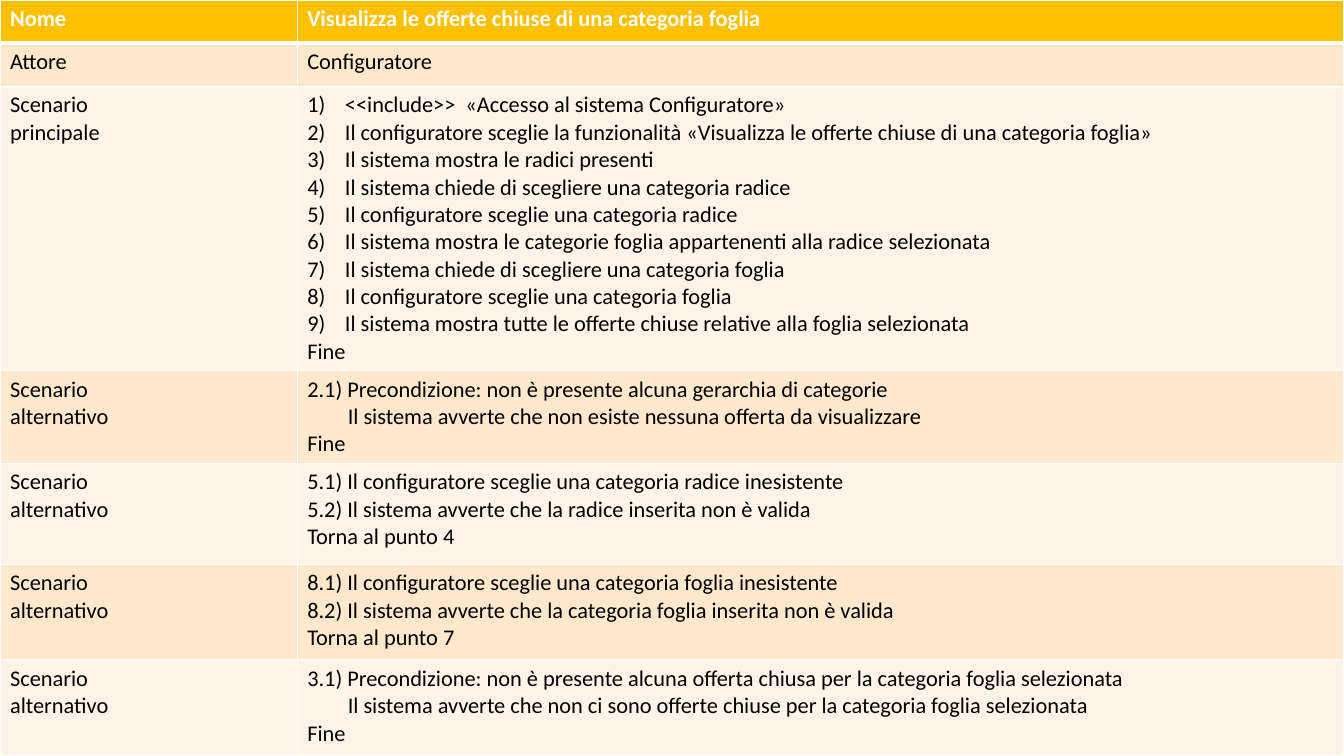
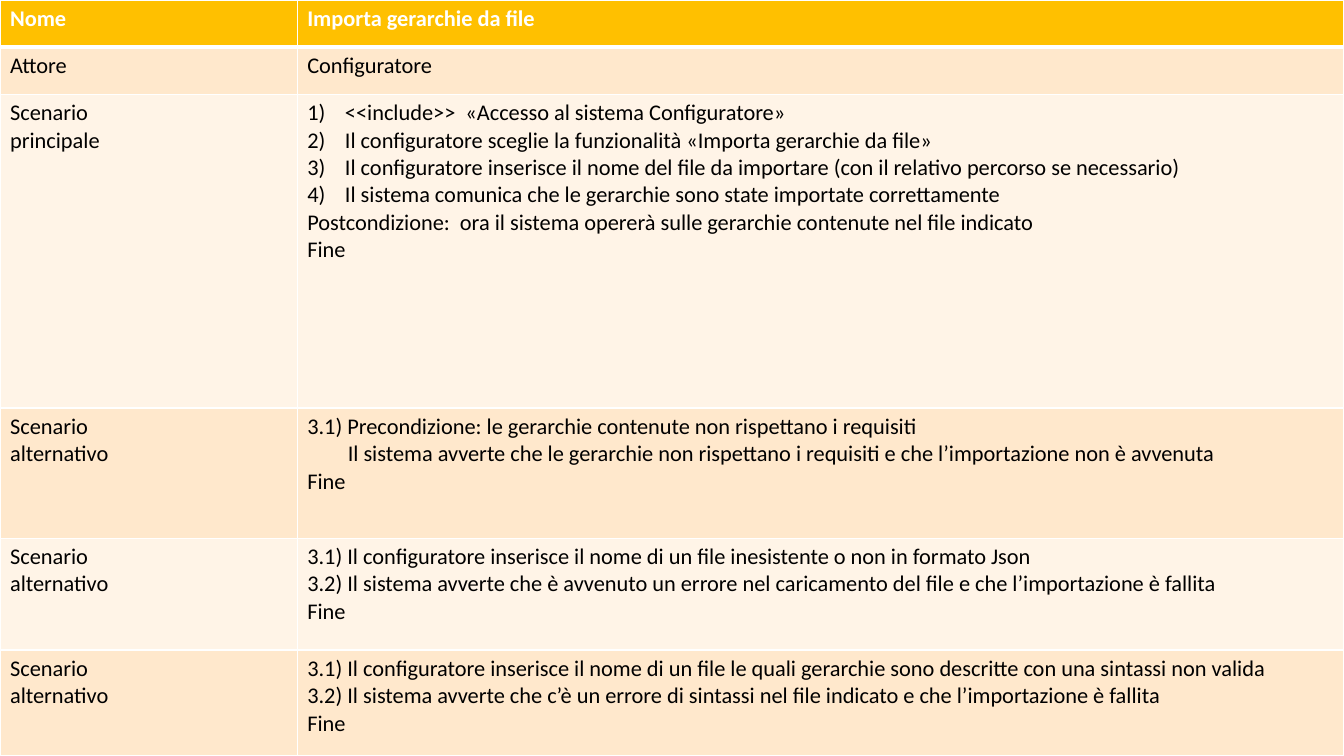
from lxml import etree
from pptx import Presentation
from pptx.dml.color import RGBColor
from pptx.oxml.ns import qn
from pptx.util import Cm, Pt

WIDTH, HEIGHT = 33.87, 19.05
LABEL_WIDTH = 7.49
BLANK_LAYOUT = 6

WHITE, BLACK = "FFFFFF", "000000"
HEADER_FILL = "FFC000"
BAND_FILLS = ("FFF4E7", "FFE8CC")
THIN, THICK = 1, 3
FONT = {"name": "Calibri", "size": Pt(16)}

# Left margin and first-line indent of each kind of line, in cm
PLAIN, STEP, DETAIL = "plain", "step", "detail"
INDENTS = {STEP: (0.95, -0.95), DETAIL: (1.02, 0)}

MAIN = ("Scenario", "principale")
ALTERNATIVE = ("Scenario", "alternativo")

CLOSED_OFFERS = {
    "name": "Visualizza le offerte chiuse di una categoria foglia",
    "actor": "Configuratore",
    "heights": (1.09, 1.09, 7.16, 2.34, 2.54, 2.41, 2.42),
    "steps": (
        "<<include>>  «Accesso al sistema Configuratore»",
        "Il configuratore sceglie la funzionalità «Visualizza le offerte chiuse di una categoria foglia»",
        "Il sistema mostra le radici presenti",
        "Il sistema chiede di scegliere una categoria radice",
        "Il configuratore sceglie una categoria radice",
        "Il sistema mostra le categorie foglia appartenenti alla radice selezionata",
        "Il sistema chiede di scegliere una categoria foglia",
        "Il configuratore sceglie una categoria foglia",
        "Il sistema mostra tutte le offerte chiuse relative alla foglia selezionata",
    ),
    "ending": ("Fine",),
    "alternatives": (
        ("2.1) Precondizione: non è presente alcuna gerarchia di categorie",
         (DETAIL, "Il sistema avverte che non esiste nessuna offerta da visualizzare"),
         "Fine"),
        ("5.1) Il configuratore sceglie una categoria radice inesistente",
         "5.2) Il sistema avverte che la radice inserita non è valida",
         "Torna al punto 4"),
        ("8.1) Il configuratore sceglie una categoria foglia inesistente",
         "8.2) Il sistema avverte che la categoria foglia inserita non è valida",
         "Torna al punto 7"),
        ("3.1) Precondizione: non è presente alcuna offerta chiusa per la categoria foglia selezionata",
         (DETAIL, "Il sistema avverte che non ci sono offerte chiuse per la categoria foglia selezionata"),
         "Fine"),
    ),
}

IMPORT_HIERARCHIES = {
    "name": "Importa gerarchie da file",
    "actor": "Configuratore",
    "heights": (1.19, 1.19, 7.9, 3.28, 2.82, 2.67),
    "steps": (
        "<<include>>  «Accesso al sistema Configuratore»",
        "Il configuratore sceglie la funzionalità «Importa gerarchie da file»",
        "Il configuratore inserisce il nome del file da importare (con il relativo percorso se necessario)",
        "Il sistema comunica che le gerarchie sono state importate correttamente",
    ),
    "ending": (
        "Postcondizione:  ora il sistema opererà sulle gerarchie contenute nel file indicato",
        "Fine",
    ),
    "alternatives": (
        ("3.1) Precondizione: le gerarchie contenute non rispettano i requisiti",
         (DETAIL, "Il sistema avverte che le gerarchie non rispettano i requisiti e che l’importazione non è avvenuta"),
         "Fine"),
        ("3.1) Il configuratore inserisce il nome di un file inesistente o non in formato Json",
         "3.2) Il sistema avverte che è avvenuto un errore nel caricamento del file e che l’importazione è fallita",
         "Fine"),
        ("3.1) Il configuratore inserisce il nome di un file le quali gerarchie sono descritte con una sintassi non valida",
         "3.2) Il sistema avverte che c’è un errore di sintassi nel file indicato e che l’importazione è fallita",
         "Fine"),
    ),
}


def rgb(color):
    return RGBColor.from_string(color)


def set_borders(cell, widths):
    """Draw white cell borders; widths maps each side (L, R, T, B) to points."""
    tcPr = cell._tc.get_or_add_tcPr()
    for side, width in widths.items():
        ln = etree.SubElement(tcPr, qn(f"a:ln{side}"), w=str(Pt(width)))
        fill = etree.SubElement(ln, qn("a:solidFill"))
        etree.SubElement(fill, qn("a:srgbClr"), val=WHITE)


def set_indent(p, kind):
    left, first = INDENTS[kind]
    pPr = p._p.get_or_add_pPr()
    pPr.set("marL", str(Cm(left)))
    pPr.set("indent", str(Cm(first)))
    if kind == STEP:
        etree.SubElement(pPr, qn("a:buFont"), typeface="+mj-lt")
        etree.SubElement(pPr, qn("a:buAutoNum"), type="arabicParenR")


def write_lines(tf, lines, **style):
    """Write one paragraph per line; a line is a text or a (kind, text) pair."""
    for i, line in enumerate(lines):
        kind, text = (PLAIN, line) if isinstance(line, str) else line
        p = tf.add_paragraph() if i else tf.paragraphs[0]
        if kind in INDENTS:
            set_indent(p, kind)
        r = p.add_run()
        r.text = text
        r.font.color.rgb = rgb(style["color"])
        for name, value in {**FONT, "bold": style["bold"]}.items():
            setattr(r.font, name, value)


def use_case_rows(case):
    """Return the (label lines, content lines) pair of each table row."""
    steps = [(STEP, text) for text in case["steps"]]
    return [
        (("Nome",), (case["name"],)),
        (("Attore",), (case["actor"],)),
        (MAIN, (*steps, *case["ending"])),
        *((ALTERNATIVE, lines) for lines in case["alternatives"]),
    ]


def add_use_case_table(s, case, left, top, width, height):
    rows = use_case_rows(case)
    table = s.shapes.add_table(len(rows), 2, Cm(left), Cm(top), Cm(width), Cm(height)).table
    for column, column_width in zip(table.columns, (LABEL_WIDTH, width - LABEL_WIDTH)):
        column.width = Cm(column_width)
    for i, (row, row_height) in enumerate(zip(table.rows, case["heights"])):
        row.height = Cm(row_height)
        header = i == 0
        fill = HEADER_FILL if header else BAND_FILLS[i % 2]
        borders = {"L": THIN, "R": THIN,
                   "T": THICK if i == 1 else THIN,
                   "B": THICK if header else THIN}
        for cell, lines in zip(row.cells, rows[i]):
            set_borders(cell, borders)
            cell.fill.solid()
            cell.fill.fore_color.rgb = rgb(fill)
            write_lines(cell.text_frame, lines, color=WHITE if header else BLACK, bold=header)


def main():
    prs = Presentation()
    prs.slide_width, prs.slide_height = Cm(WIDTH), Cm(HEIGHT)
    for case in (CLOSED_OFFERS, IMPORT_HIERARCHIES):
        s = prs.slides.add_slide(prs.slide_layouts[BLANK_LAYOUT])
        add_use_case_table(s, case, 0, 0, WIDTH, HEIGHT)
    prs.save("out.pptx")


if __name__ == "__main__":
    main()
